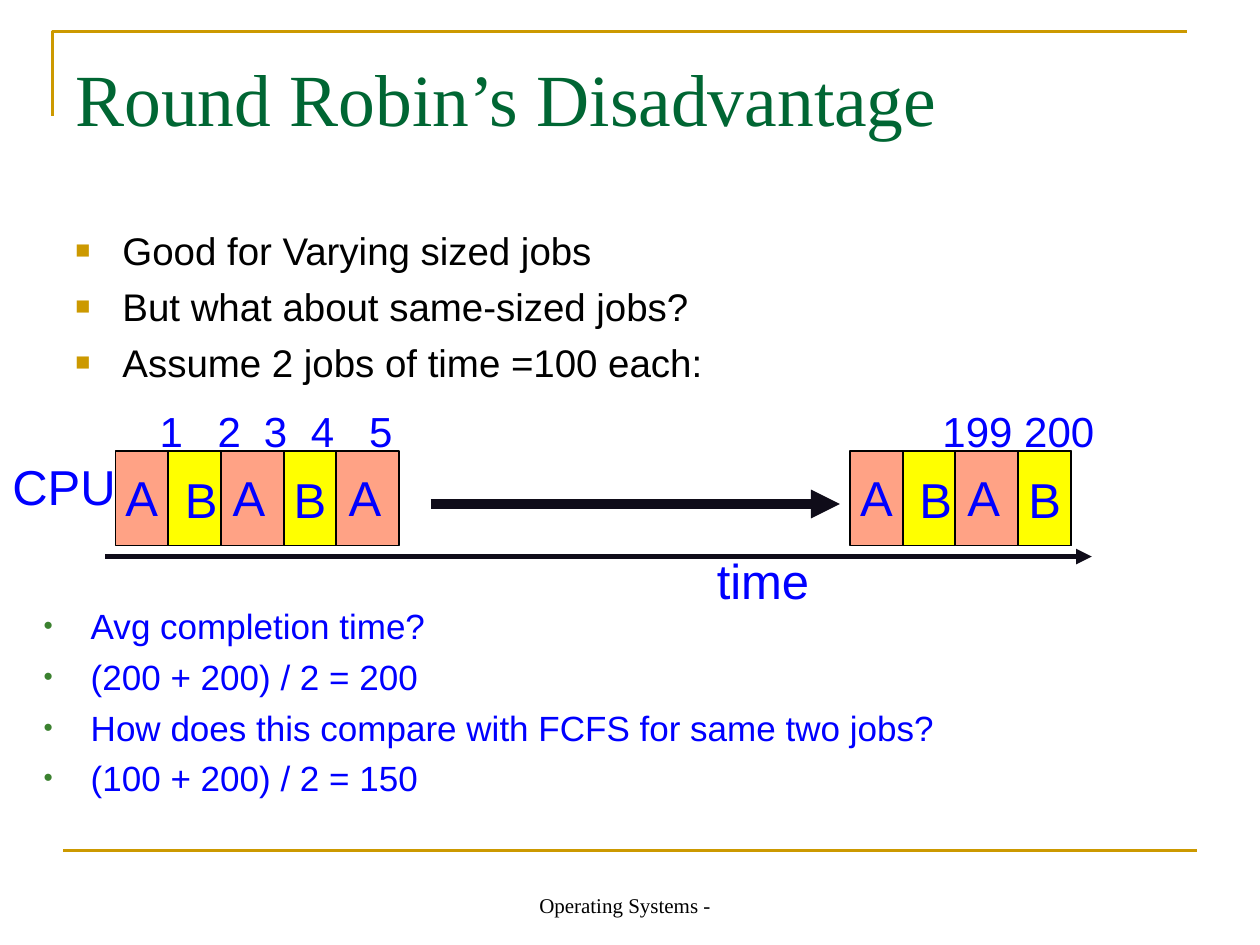
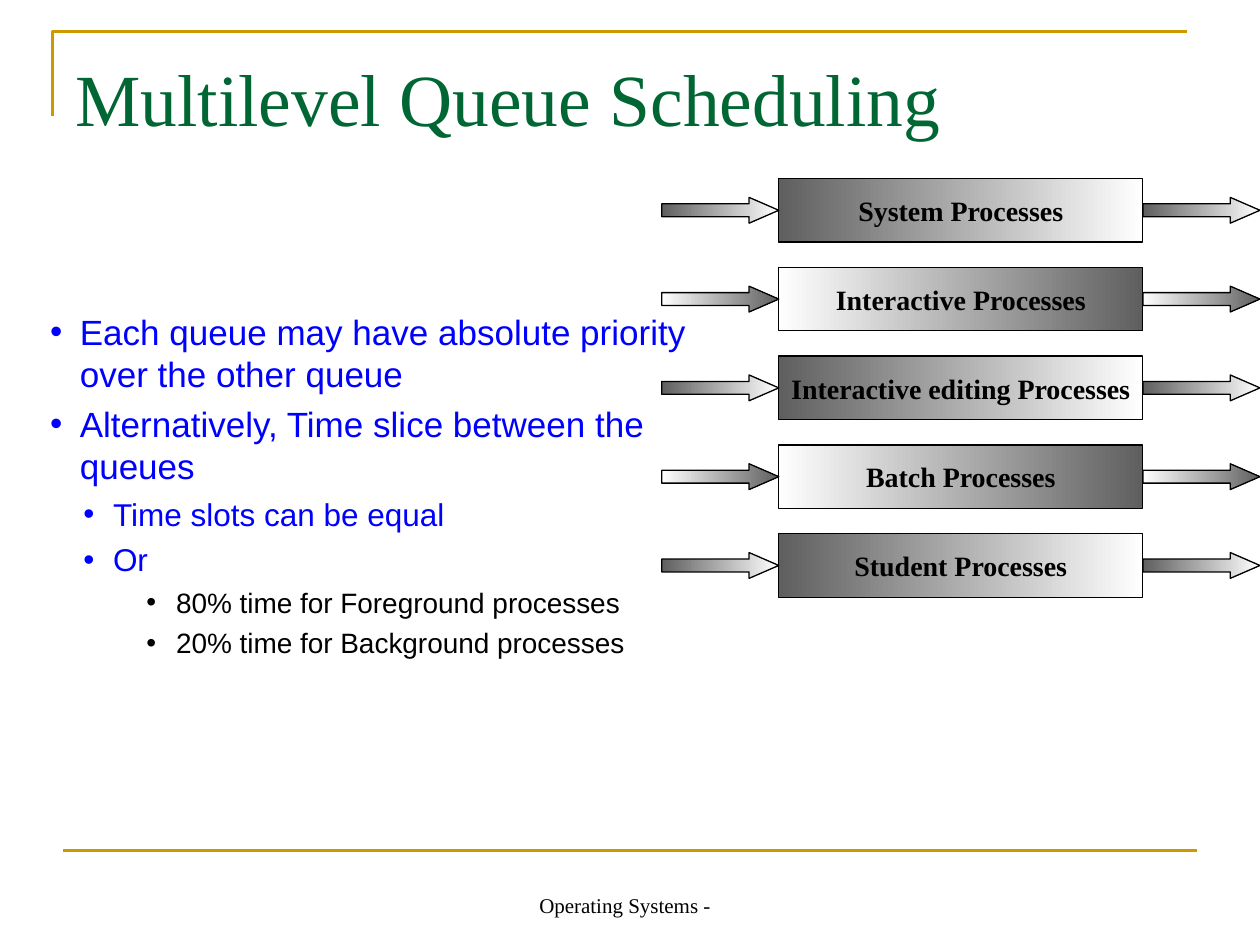
from dataclasses import dataclass

from lxml import etree
from pptx import Presentation
from pptx import util as u
from pptx.dml.color import RGBColor
from pptx.enum import shapes as s
from pptx.enum import text as t
from pptx.oxml import ns

SANS, SERIF = "Arial", "Times New Roman"
BLACK, WHITE, GREY = "000000", "FFFFFF", "5F5F5F"
BLUE, GREEN, GOLD, NAVY = "0000FF", "006633", "CC9900", "0F0C19"
SALMON, YELLOW, LEAF = "FFA285", "FFFF00", "3B812F"
INSET = (0.25, 0.13, 0.25, 0.13)


@dataclass(frozen=True)
class Box:
    left: float
    top: float
    width: float
    height: float

    def lengths(self) -> list:
        return [u.Cm(v) for v in (self.left, self.top, self.width, self.height)]


@dataclass(frozen=True)
class Style:
    size: float
    color: str = BLUE
    font: str = SANS
    bold: bool = False


@dataclass(frozen=True)
class Bullet:
    char: str
    color: str
    percent: int
    margin: float
    hang: float
    before: float


@dataclass(frozen=True)
class Point:
    words: str
    style: Style
    bullet: Bullet


@dataclass(frozen=True)
class Timeline:
    left: float
    width: float
    a_offsets: tuple


TITLE = Style(42, GREEN, SERIF)
FOOTER = Style(12, BLACK, SERIF)
JOB = Style(28)
TICK = Style(24)
QUEUE = Style(16, BLACK, SERIF, True)


def rgb(color: str) -> RGBColor:
    return RGBColor.from_string(color)


def child(parent, tag: str, **attributes):
    return etree.SubElement(parent, ns.qn(tag), **attributes)


def add_run(paragraph, words: str, style: Style) -> None:
    run = paragraph.add_run()
    run.text = words
    run.font.size = u.Pt(style.size)
    run.font.name = style.font
    run.font.bold = style.bold
    run.font.color.rgb = rgb(style.color)


def set_frame(shape, inset=INSET, wrap=True, anchor=t.MSO_ANCHOR.TOP):
    frame = shape.text_frame
    frame.word_wrap = wrap
    frame.auto_size = t.MSO_AUTO_SIZE.NONE
    frame.vertical_anchor = anchor
    (frame.margin_left, frame.margin_top,
     frame.margin_right, frame.margin_bottom) = [u.Cm(v) for v in inset]
    return frame


def add_label(slide, box: Box, words: str, style: Style, wrap=True,
              align=t.PP_ALIGN.LEFT, anchor=t.MSO_ANCHOR.TOP):
    frame = set_frame(slide.shapes.add_textbox(*box.lengths()), INSET, wrap, anchor)
    paragraph = frame.paragraphs[0]
    paragraph.alignment = align
    add_run(paragraph, words, style)
    return paragraph


def add_points(slide, box: Box, points: list) -> None:
    frame = set_frame(slide.shapes.add_textbox(*box.lengths()))
    for index, point in enumerate(points):
        paragraph = frame.add_paragraph() if index else frame.paragraphs[0]
        bullet = point.bullet
        if index:
            paragraph.space_before = u.Pt(bullet.before)
        properties = paragraph._p.get_or_add_pPr()
        properties.set("marL", str(u.Cm(bullet.margin)))
        properties.set("indent", str(-u.Cm(bullet.hang)))
        child(child(properties, "a:buClr"), "a:srgbClr", val=bullet.color)
        child(properties, "a:buSzPct", val=str(bullet.percent * 1000))
        child(properties, "a:buFont", typeface=SANS)
        child(properties, "a:buChar", char=bullet.char)
        add_run(paragraph, point.words, point.style)


def add_block(slide, kind, box: Box, colors: tuple, line_width: float):
    block = slide.shapes.add_shape(kind, *box.lengths())
    block.shadow.inherit = False
    if len(colors) == 1:
        block.fill.solid()
        block.fill.fore_color.rgb = rgb(colors[0])
    else:
        block.fill.gradient()
        block.fill.gradient_angle = 0
        for stop, color in zip(block.fill.gradient_stops, colors):
            stop.color.rgb = rgb(color)
    block.line.color.rgb = rgb(BLACK)
    block.line.width = u.Pt(line_width)
    return block


def fill_block(block, words: str, style: Style, inset: tuple, wrap: bool) -> None:
    frame = set_frame(block, inset, wrap, t.MSO_ANCHOR.MIDDLE)
    frame.paragraphs[0].alignment = t.PP_ALIGN.CENTER
    add_run(frame.paragraphs[0], words, style)


def add_line(slide, start: tuple, end: tuple, color: str, width: float, arrow=False) -> None:
    line = slide.shapes.add_connector(
        s.MSO_CONNECTOR.STRAIGHT, *[u.Cm(v) for v in (*start, *end)])
    line.line.color.rgb = rgb(color)
    line.line.width = u.Pt(width)
    if arrow:
        child(line.line._get_or_add_ln(), "a:tailEnd", type="triangle")
    child(line._element.spPr, "a:effectLst")


def add_slide(deck, heading: str):
    slide = deck.slides.add_slide(deck.slide_layouts[5])
    outline = slide.shapes.build_freeform(u.Cm(1.06), u.Cm(2.33))
    outline.add_line_segments(
        [(u.Cm(1.06), u.Cm(0.63)), (u.Cm(23.92), u.Cm(0.63))], close=False)
    corner = outline.convert_to_shape()
    corner.shadow.inherit = False
    corner.fill.background()
    corner.line.color.rgb = rgb(GOLD)
    corner.line.width = u.Pt(1.5)
    add_line(slide, (1.27, 17.14), (24.13, 17.14), GOLD, 1.5)
    add_label(slide, Box(8.58, 17.36, 8.04, 1.27), "Operating Systems -", FOOTER,
              align=t.PP_ALIGN.CENTER, anchor=t.MSO_ANCHOR.BOTTOM)
    title = slide.shapes.title
    title.left, title.top, title.width, title.height = Box(1.27, 0.76, 22.86, 3.18).lengths()
    frame = set_frame(title, (0.25, 0.31, 0.25, 0.13))
    frame.paragraphs[0].alignment = t.PP_ALIGN.LEFT
    add_run(frame.paragraphs[0], heading, TITLE)
    return slide


def add_timeline(slide, timeline: Timeline) -> None:
    top, height, cell = 9.1, 1.9, 1.06
    rectangle = s.MSO_SHAPE.RECTANGLE
    add_block(slide, rectangle, Box(timeline.left, top, timeline.width, height), (SALMON,), 1)
    for offset, left_inset in ((1.06, 0.27), (3.39, 0)):
        job_b = add_block(slide, rectangle,
                          Box(timeline.left + offset, top, cell, height), (YELLOW,), 1)
        fill_block(job_b, "B", JOB, (left_inset, 0, 0, 0), True)
    for offset in timeline.a_offsets:
        add_label(slide, Box(timeline.left + offset, 9.3, 1.1, 1.45), "A", JOB, wrap=False)


def build_round_robin(deck) -> None:
    slide = add_slide(deck, "Round Robin’s Disadvantage")
    square = Bullet("■", GOLD, 65, 0.95, 0.95, 5.5)
    dot = Bullet("•", LEAF, 75, 0.95, 0.95, 5)
    add_points(slide, Box(1.27, 4.45, 22.86, 4.09), [
        Point(words, Style(22, BLACK), square) for words in (
            "Good for Varying sized jobs",
            "But what about same-sized jobs?",
            "Assume 2 jobs of time =100 each:")])
    add_label(slide, Box(14.2, 10.97, 2.36, 1.45), "time", JOB, wrap=False)
    ticks = add_label(slide, Box(2.97, 8.05, 20.32, 1.27), "1\t2\t3\t4\t5\t199 200", TICK)
    stops = child(ticks._p.get_or_add_pPr(), "a:tabLst")
    for position in (1.17, 2.1, 3.05, 4.22, 15.78):
        child(stops, "a:tab", pos=str(u.Cm(position)), algn="l")
    add_label(slide, Box(0, 9.07, 2.59, 1.45), "CPU", JOB, wrap=False)
    add_timeline(slide, Timeline(2.33, 5.72, (-0.05, 2.11, 4.45)))
    add_timeline(slide, Timeline(17.14, 4.45, (-0.05, 2.11)))
    add_line(slide, (2.12, 11.22), (22.01, 11.22), NAVY, 3, arrow=True)
    add_line(slide, (8.68, 10.16), (16.93, 10.16), NAVY, 5.5, arrow=True)
    add_points(slide, Box(0.63, 12.06, 24.77, 5.72), [
        Point(words, Style(20), dot) for words in (
            "Avg completion time?",
            "(200 + 200) / 2 = 200",
            "How does this compare with FCFS for same two jobs?",
            "(100 + 200) / 2 = 150")])


def build_multilevel_queue(deck) -> None:
    slide = add_slide(deck, "Multilevel Queue Scheduling")
    queues = ("System", "Interactive", "Interactive editing", "Batch", "Student")
    first_top, pitch = 3.6, 1.79
    for index, queue in enumerate(queues):
        top = first_top + index * pitch
        shades = (WHITE, GREY) if index % 2 else (GREY, WHITE)
        block = add_block(slide, s.MSO_SHAPE.RECTANGLE,
                          Box(15.7, top, 7.34, 1.28), shades, 0.75)
        fill_block(block, f"{queue} Processes", QUEUE, INSET, False)
        for left in (13.34, 23.04):
            arrow = add_block(slide, s.MSO_SHAPE.RIGHT_ARROW,
                              Box(left, top + 0.38, 2.36, 0.52), shades, 0.75)
            arrow.adjustments[0] = 0.5
            arrow.adjustments[1] = 1.15
    policy = Bullet("•", BLUE, 100, 0.6, 0.6, 5)
    slicing = Bullet("•", BLUE, 100, 1.27, 0.6, 4.5)
    share = Bullet("•", BLACK, 100, 2.54, 0.6, 4)
    add_points(slide, Box(0.76, 6.12, 13.34, 7.32), [
        Point("Each queue may have absolute priority over the other queue", Style(20), policy),
        Point("Alternatively, Time slice between the queues", Style(20), policy),
        Point("Time slots can be equal", Style(18), slicing),
        Point("Or", Style(18), slicing),
        Point("80% time for Foreground processes", Style(16, BLACK), share),
        Point("20% time for Background processes", Style(16, BLACK), share)])


def main() -> None:
    deck = Presentation()
    deck.slide_width, deck.slide_height = u.Cm(25.4), u.Cm(19.05)
    build_round_robin(deck)
    build_multilevel_queue(deck)
    deck.save("out.pptx")


if __name__ == "__main__":
    main()
